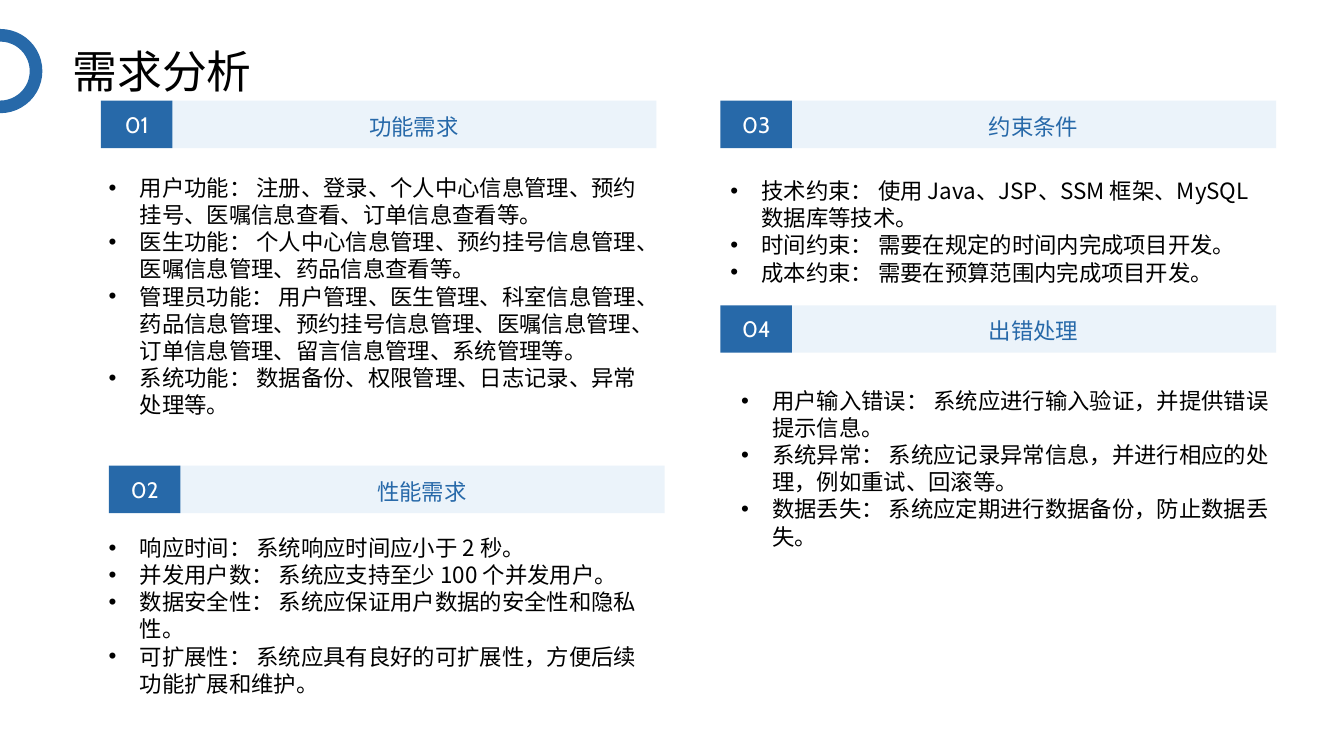
from lxml.etree import SubElement
from pptx import Presentation
from pptx.dml.color import RGBColor as RGB
from pptx.enum.shapes import MSO_SHAPE as Shape
from pptx.enum.text import MSO_ANCHOR as Anchor, PP_ALIGN as Align
from pptx.oxml.ns import qn
from pptx.util import Inches, Pt

# Slide size; one column or row is a hundredth of it
WIDTH, HEIGHT = Inches(13.33), Inches(7.5)
COL, ROW = WIDTH / 100, HEIGHT / 100

BLUE = RGB(0x27, 0x69, 0xA9)
PALE = RGB(0xCE, 0xE1, 0xF4)
BLACK = RGB(0, 0, 0)
WHITE = RGB(255, 255, 255)
CABIN, NOTO = "Cabin", "Noto Sans CJK SC"

BAR = 6.27  # height of a heading bar, in rows
LINE = 3.59  # height of a text line, in rows
INDENT = Inches(0.31)

# Number, heading, bar column and row, list column and row, lines, items
PARTS = [
    ("01", "功能需求", 7.5, 13.33, 7.35, 22.35, 9, [
        "用户功能： 注册、登录、个人中心信息管理、预约挂号、医嘱信息查看、订单信息查看等。",
        "医生功能： 个人中心信息管理、预约挂号信息管理、医嘱信息管理、药品信息查看等。",
        "管理员功能： 用户管理、医生管理、科室信息管理、药品信息管理、预约挂号信息管理、"
        "医嘱信息管理、订单信息管理、留言信息管理、系统管理等。",
        "系统功能： 数据备份、权限管理、日志记录、异常处理等。"]),
    ("02", "性能需求", 8.1, 61.6, 7.35, 69.95, 6, [
        "响应时间： 系统响应时间应小于 2 秒。",
        "并发用户数： 系统应支持至少 100 个并发用户。",
        "数据安全性： 系统应保证用户数据的安全性和隐私性。",
        "可扩展性： 系统应具有良好的可扩展性，方便后续功能扩展和维护。"]),
    ("03", "约束条件", 53.6, 13.33, 53.6, 22.75, 4, [
        "技术约束： 使用 Java、JSP、SSM 框架、MySQL 数据库等技术。",
        "时间约束： 需要在规定的时间内完成项目开发。",
        "成本约束： 需要在预算范围内完成项目开发。"]),
    ("04", "出错处理", 53.6, 40.4, 54.4, 50.5, 6, [
        "用户输入错误： 系统应进行输入验证，并提供错误提示信息。",
        "系统异常： 系统应记录异常信息，并进行相应的处理，例如重试、回滚等。",
        "数据丢失： 系统应定期进行数据备份，防止数据丢失。"]),
]


def place(x, y, w, h):
    return int(x * COL), int(y * ROW), int(w * COL), int(h * ROW)


def style(par, size, color, latin, east):
    for run in par.runs:
        run.font.size = Pt(size)
        run.font.color.rgb = color
        run.font.name = latin
        SubElement(run.font._element, qn("a:ea"), typeface=east)


def draw_rect(slide, spot, color, alpha=100):
    rect = slide.shapes.add_shape(Shape.RECTANGLE, *place(*spot))
    rect.shadow.inherit = False
    rect.line.fill.background()
    rect.fill.solid()
    rect.fill.fore_color.rgb = color
    if alpha < 100:
        tint = rect.fill._xPr.find(".//" + qn("a:srgbClr"))
        SubElement(tint, qn("a:alpha"), val=str(alpha * 1000))


def draw_ring(slide, spot):
    ring = slide.shapes.add_shape(Shape.OVAL, *place(*spot))
    ring.shadow.inherit = False
    ring.fill.background()
    ring.line.color.rgb = BLUE
    ring.line.width = Pt(9)


def add_label(slide, spot, text, size, color, latin, align=Align.CENTER):
    frame = slide.shapes.add_textbox(*place(*spot)).text_frame
    frame.margin_left = frame.margin_right = 0
    frame.margin_top = frame.margin_bottom = 0
    frame.word_wrap = True
    frame.vertical_anchor = Anchor.MIDDLE
    frame.text = text
    par = frame.paragraphs[0]
    par.alignment = align
    style(par, size, color, latin, CABIN)


def add_header(slide, x, y, number, title):
    draw_rect(slide, (x + 5.2, y, 36.15, BAR), PALE, 40)
    draw_rect(slide, (x, y, 5.33, BAR), BLUE)
    add_label(slide, (x + 7.05, y + 1.3, 32.5, 4.13), title, 16, BLUE, NOTO)
    add_label(slide, (x + 0.8, y + 1.3, 3.75, 3.6), number, 16, WHITE, CABIN)


def add_list(slide, x, y, lines, items):
    spot = place(x, y, 41.5, lines * LINE + 1.33)
    frame = slide.shapes.add_textbox(*spot).text_frame
    frame.word_wrap = True
    frame.text = "\n".join(items)
    for par in frame.paragraphs:
        par.line_spacing = Pt(19.4)
        props = par._p.get_or_add_pPr()
        props.set("marL", str(INDENT))
        props.set("indent", str(-INDENT))
        SubElement(props, qn("a:buFont"), typeface="Arial")
        SubElement(props, qn("a:buChar"), char="•")
        style(par, 16, BLACK, NOTO, NOTO)


def main():
    deck = Presentation()
    deck.slide_width, deck.slide_height = WIDTH, HEIGHT
    slide = deck.slides.add_slide(deck.slide_layouts[6])

    # Title with the ring at the slide's edge
    draw_ring(slide, (-2.65, 4.67, 5.33, 9.47))
    add_label(slide, (5.4, 6.27, 89.1, BAR), "需求分析", 32, BLACK, CABIN, Align.LEFT)

    # Four numbered parts
    for number, title, x, y, left, top, lines, items in PARTS:
        add_header(slide, x, y, number, title)
        add_list(slide, left, top, lines, items)

    deck.save("out.pptx")


if __name__ == "__main__":
    main()
